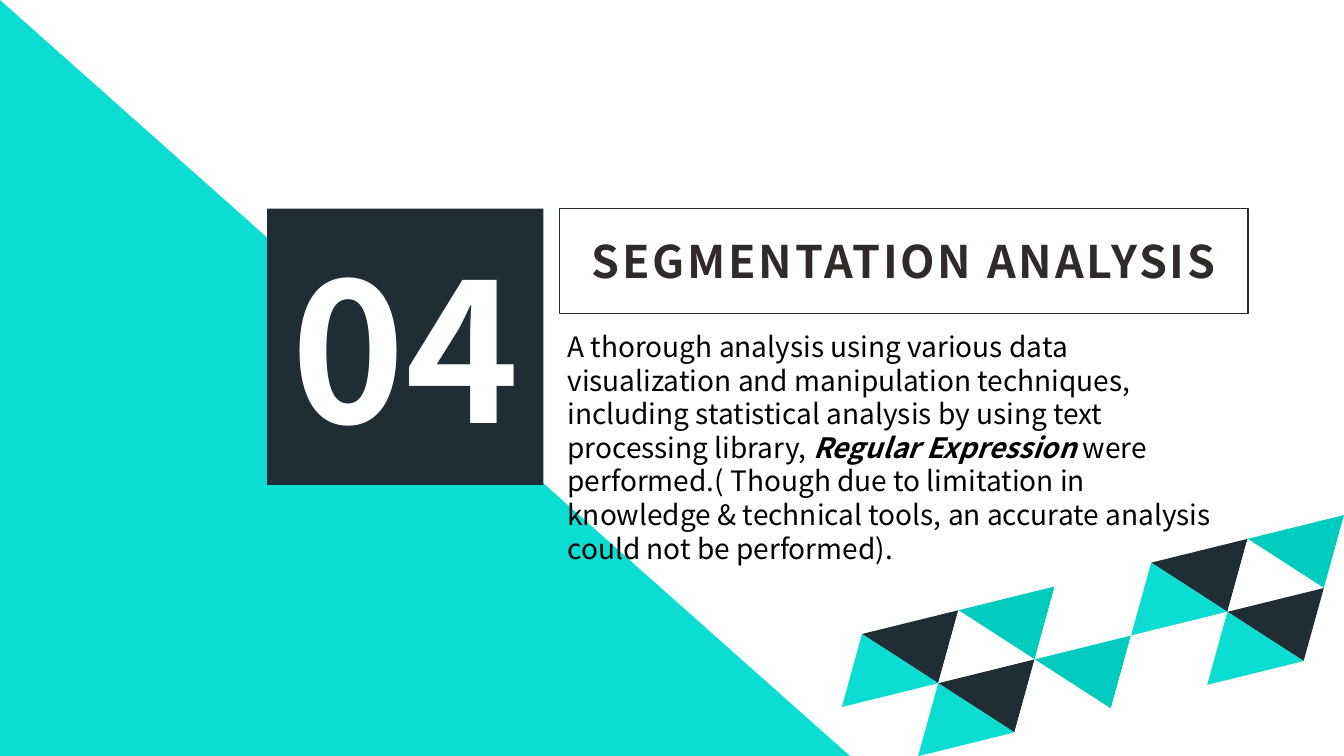
from dataclasses import dataclass

from pptx import Presentation
from pptx import util as u
from pptx.dml.color import RGBColor
from pptx.enum import shapes, text

DARK = RGBColor(0x1F, 0x2D, 0x35)
TURQUOISE = RGBColor(0x0B, 0xDD, 0xD3)
TEAL = RGBColor(0x00, 0xCC, 0xBD)
WHITE = RGBColor(0xFF, 0xFF, 0xFF)
BLACK = RGBColor(0x00, 0x00, 0x00)
TITLE_INK = RGBColor(0x30, 0x2A, 0x28)
FONT = "Noto Sans CJK SC"

ORIGIN = (8.55, 6.29)
ACROSS = (0.956, -0.236)
DOWN = (-0.2, 0.724)


@dataclass(frozen=True)
class Cell:
    """One lattice cell, split into an upper and a lower triangle."""
    col: int
    row: int
    upper: RGBColor
    lower: RGBColor


CELLS = [
    Cell(0, 0, DARK, TURQUOISE),
    Cell(1, 0, TEAL, WHITE),
    Cell(2, 0, WHITE, WHITE),
    Cell(3, 0, DARK, TURQUOISE),
    Cell(4, 0, TEAL, WHITE),
    Cell(1, 1, DARK, TURQUOISE),
    Cell(2, 1, TEAL, WHITE),
    Cell(3, 1, WHITE, WHITE),
    Cell(4, 1, DARK, TURQUOISE),
]


def lattice_point(col: int, row: int) -> tuple[int, int]:
    """Return the position of a lattice node in EMU."""
    x, y = (o + col * a + row * d for o, a, d in zip(ORIGIN, ACROSS, DOWN))
    return u.Inches(x), u.Inches(y)


def add_triangle(group, nodes: list[tuple[int, int]], color: RGBColor) -> None:
    """Draw a filled triangle between three lattice nodes."""
    first, *rest = [lattice_point(*node) for node in nodes]
    fb = group.shapes.build_freeform(*first)
    fb.add_line_segments(rest, close=True)
    fill_plain(fb.convert_to_shape(), color)


def add_cell(group, cell: Cell) -> None:
    """Draw both triangles of a cell."""
    c, r = cell.col, cell.row
    add_triangle(group, [(c + 1, r), (c + 1, r + 1), (c, r)], cell.upper)
    add_triangle(group, [(c, r), (c, r + 1), (c + 1, r + 1)], cell.lower)


def fill_plain(sp, color: RGBColor) -> None:
    """Give a shape a solid fill without line or shadow."""
    sp.shadow.inherit = False
    sp.fill.solid()
    sp.fill.fore_color.rgb = color
    sp.line.fill.background()


def add_shape(s, kind, box: tuple, color: RGBColor):
    """Add a plain preset shape."""
    sp = s.shapes.add_shape(kind, *map(u.Inches, box))
    fill_plain(sp, color)
    return sp


def style(p, size: float, color: RGBColor, bold: bool | None = None) -> None:
    """Set the font of a paragraph."""
    p.font.name = FONT
    p.font.size = u.Pt(size)
    p.font.color.rgb = color
    p.font.bold = bold


def add_number(s) -> None:
    """Add the square with the section number."""
    sp = add_shape(s, shapes.MSO_SHAPE.RECTANGLE, (2.65, 2.07, 2.74, 2.74), DARK)
    tf = sp.text_frame
    tf.margin_left = tf.margin_top = tf.margin_right = tf.margin_bottom = 0
    tf.vertical_anchor = text.MSO_ANCHOR.MIDDLE
    p = tf.paragraphs[0]
    p.text = "04"
    p.alignment = text.PP_ALIGN.CENTER
    style(p, 138, WHITE, True)


def set_title(s) -> None:
    """Place and format the framed title."""
    sp = s.shapes.title
    sp.left, sp.top, sp.width, sp.height = map(u.Inches, (5.55, 2.07, 6.83, 1.04))
    sp.line.color.rgb = DARK
    sp.line.width = u.Pt(1)
    tf = sp.text_frame
    tf.auto_size = text.MSO_AUTO_SIZE.NONE
    tf.vertical_anchor = text.MSO_ANCHOR.MIDDLE
    p = tf.paragraphs[0]
    p.alignment = text.PP_ALIGN.CENTER
    style(p, 32, TITLE_INK, True)
    r = p.add_run()
    r.text = "SEGMENTATION ANALYSIS"
    r.font._element.set("spc", "200")


def add_summary(s) -> None:
    """Add the description below the title."""
    tf = s.shapes.add_textbox(*map(u.Inches, (5.53, 3.22, 6.8, 2.46))).text_frame
    tf.word_wrap = True
    tf.auto_size = text.MSO_AUTO_SIZE.SHAPE_TO_FIT_TEXT
    p = tf.paragraphs[0]
    style(p, 20, BLACK)
    before, term, after = (p.add_run() for _ in range(3))
    before.text = ("A thorough analysis using various data visualization and "
                   "manipulation techniques, including statistical analysis "
                   "by using text processing library, ")
    term.text = "Regular Expression"
    term.font.bold = term.font.italic = True
    after.text = (" were performed.( Though due to limitation in knowledge & "
                  "technical tools, an accurate analysis could not be "
                  "performed).")


def main() -> None:
    """Build the section slide."""
    prs = Presentation()
    prs.slide_width, prs.slide_height = u.Inches(13.33), u.Inches(7.5)
    s = prs.slides.add_slide(prs.slide_layouts[5])
    add_shape(s, shapes.MSO_SHAPE.RIGHT_TRIANGLE, (0, 0, 8.43, 7.5), TURQUOISE)
    group = s.shapes.add_group_shape()
    for cell in CELLS:
        add_cell(group, cell)
    add_number(s)
    set_title(s)
    add_summary(s)
    prs.save("out.pptx")


if __name__ == "__main__":
    main()
